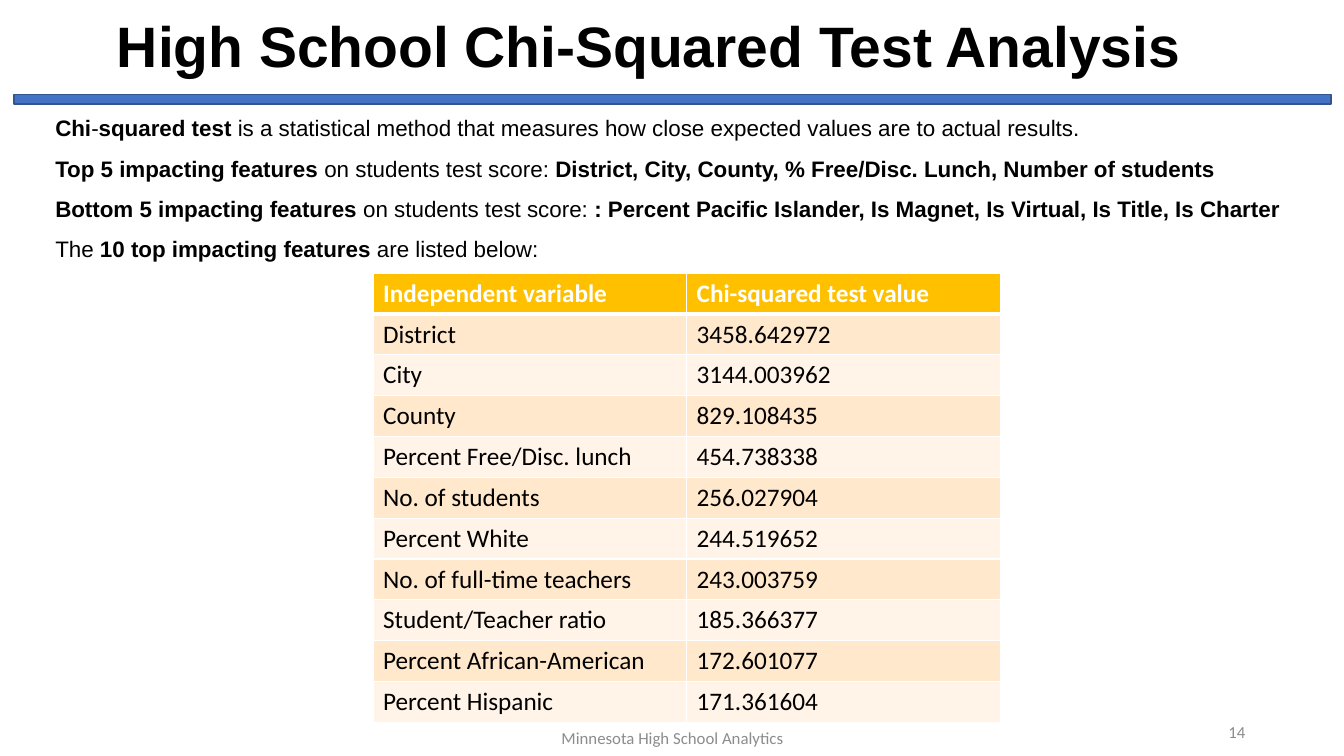
from pptx import Presentation
from pptx import util as u
from pptx.dml.color import RGBColor
from pptx.enum import shapes, text
from pptx.oxml import parse_xml
from pptx.oxml.ns import nsdecls

COLORS = {"black": "000000", "white": "FFFFFF", "blue": "4472C4", "navy": "325491",
          "gray": "8C8C8C", "gold": "FFC000", "peach": "FFE8CC", "cream": "FFF4E7"}

FINDINGS = [
    [("Chi", True), ("-", False), ("squared test", True),
     (" is a statistical method that measures how close expected values are to actual results.", False)],
    [("Top 5 impacting features ", True), ("on students test score: ", False),
     ("District, City, County, % Free/Disc. Lunch, Number of students", True)],
    [("Bottom 5 impacting features ", True), ("on students test score: ", False),
     (": Percent Pacific Islander, Is Magnet, Is Virtual, Is Title, Is Charter", True)],
    [("The ", False), ("10 top impacting features ", True), ("are listed below:", False)],
]

CHI_SQUARED = [
    ("Independent variable", "Chi-squared test value"),
    ("District", "3458.642972"),
    ("City", "3144.003962"),
    ("County", "829.108435"),
    ("Percent Free/Disc. lunch", "454.738338"),
    ("No. of students", "256.027904"),
    ("Percent White", "244.519652"),
    ("No. of full-time teachers", "243.003759"),
    ("Student/Teacher ratio", "185.366377"),
    ("Percent African-American", "172.601077"),
    ("Percent Hispanic", "171.361604"),
]


def color(name):
    """Return the named colour."""
    return RGBColor.from_string(COLORS[name])


def inches(box):
    """Convert a left, top, width, height box to lengths."""
    return [u.Inches(value) for value in box]


def style(run, font, size, color_name, bold=False):
    """Format one run."""
    run.font.name, run.font.size, run.font.bold = font, u.Pt(size), bold
    run.font.color.rgb = color(color_name)


def add_heading(slide, box):
    """Place the slide title."""
    title = slide.shapes.title
    title.left, title.top, title.width, title.height = inches(box)
    frame = title.text_frame
    frame.text = "High School Chi-Squared Test Analysis"
    frame.vertical_anchor = text.MSO_ANCHOR.TOP
    frame.auto_size = text.MSO_AUTO_SIZE.NONE
    paragraph = frame.paragraphs[0]
    paragraph.alignment, paragraph.line_spacing = text.PP_ALIGN.LEFT, 0.9
    style(paragraph.runs[0], "Arial", 40.7, "black", True)


def add_rule(slide, box):
    """Draw the bar under the title."""
    bar = slide.shapes.add_shape(shapes.MSO_SHAPE.RECTANGLE, *inches(box))
    bar.shadow.inherit = False
    bar.fill.solid()
    bar.fill.fore_color.rgb = color("blue")
    bar.line.color.rgb = color("navy")
    bar.line.width = u.Pt(1)


def add_findings(slide, box):
    """Write the findings, one paragraph each."""
    frame = slide.shapes.add_textbox(*inches(box)).text_frame
    frame.word_wrap = True
    frame.vertical_anchor = text.MSO_ANCHOR.BOTTOM
    for index, finding in enumerate(FINDINGS):
        paragraph = frame.add_paragraph() if index else frame.paragraphs[0]
        paragraph.line_spacing = 1.5
        for words, bold in finding:
            run = paragraph.add_run()
            run.text = words
            style(run, "Arial", 16, "black", bold)


def add_cell_borders(cell, bottom_width):
    """Line a cell in white, with its own bottom width."""
    properties = cell._tc.get_or_add_tcPr()
    widths = {"lnL": 1, "lnR": 1, "lnT": 1, "lnB": bottom_width}
    for position, (side, width) in enumerate(widths.items()):
        properties.insert(position, parse_xml(
            f'<a:{side} {nsdecls("a")} w="{u.Pt(width)}"><a:solidFill>'
            f'<a:srgbClr val="{COLORS["white"]}"/></a:solidFill></a:{side}>'))


def add_results(slide, box):
    """Build the banded table of test values."""
    rows, columns = len(CHI_SQUARED), len(CHI_SQUARED[0])
    table = slide.shapes.add_table(rows, columns, *inches(box)).table
    for row, values in enumerate(CHI_SQUARED):
        header = row == 0
        fill = "gold" if header else ("peach" if row % 2 else "cream")
        for column, value in enumerate(values):
            cell = table.cell(row, column)
            cell.text = value
            cell.fill.solid()
            cell.fill.fore_color.rgb = color(fill)
            add_cell_borders(cell, 3 if header else 1)
            style(cell.text_frame.paragraphs[0].runs[0], "Calibri", 18,
                  "white" if header else "black", header)


def add_footer(slide, box, words, alignment):
    """Write one small gray footer text."""
    frame = slide.shapes.add_textbox(*inches(box)).text_frame
    frame.word_wrap = True
    frame.vertical_anchor = text.MSO_ANCHOR.MIDDLE
    frame.text = words
    frame.paragraphs[0].alignment = alignment
    style(frame.paragraphs[0].runs[0], "Calibri", 12, "gray")


def main():
    """Build and save the slide."""
    presentation = Presentation()
    presentation.slide_width, presentation.slide_height = u.Inches(13.33), u.Inches(7.5)
    slide = presentation.slides.add_slide(presentation.slide_layouts[5])
    add_findings(slide, (0.45, 1.03, 13.06, 1.62))
    add_heading(slide, (1.06, 0.13, 11.5, 1.11))
    add_rule(slide, (0.14, 0.94, 13.06, 0.09))
    add_footer(slide, (4.42, 7.12, 4.5, 0.4), "Minnesota High School Analytics", text.PP_ALIGN.CENTER)
    add_footer(slide, (9.45, 7.06, 3, 0.4), "14", text.PP_ALIGN.RIGHT)
    add_results(slide, (3.7, 2.71, 6.22, 4.46))
    presentation.save("out.pptx")


if __name__ == "__main__":
    main()
